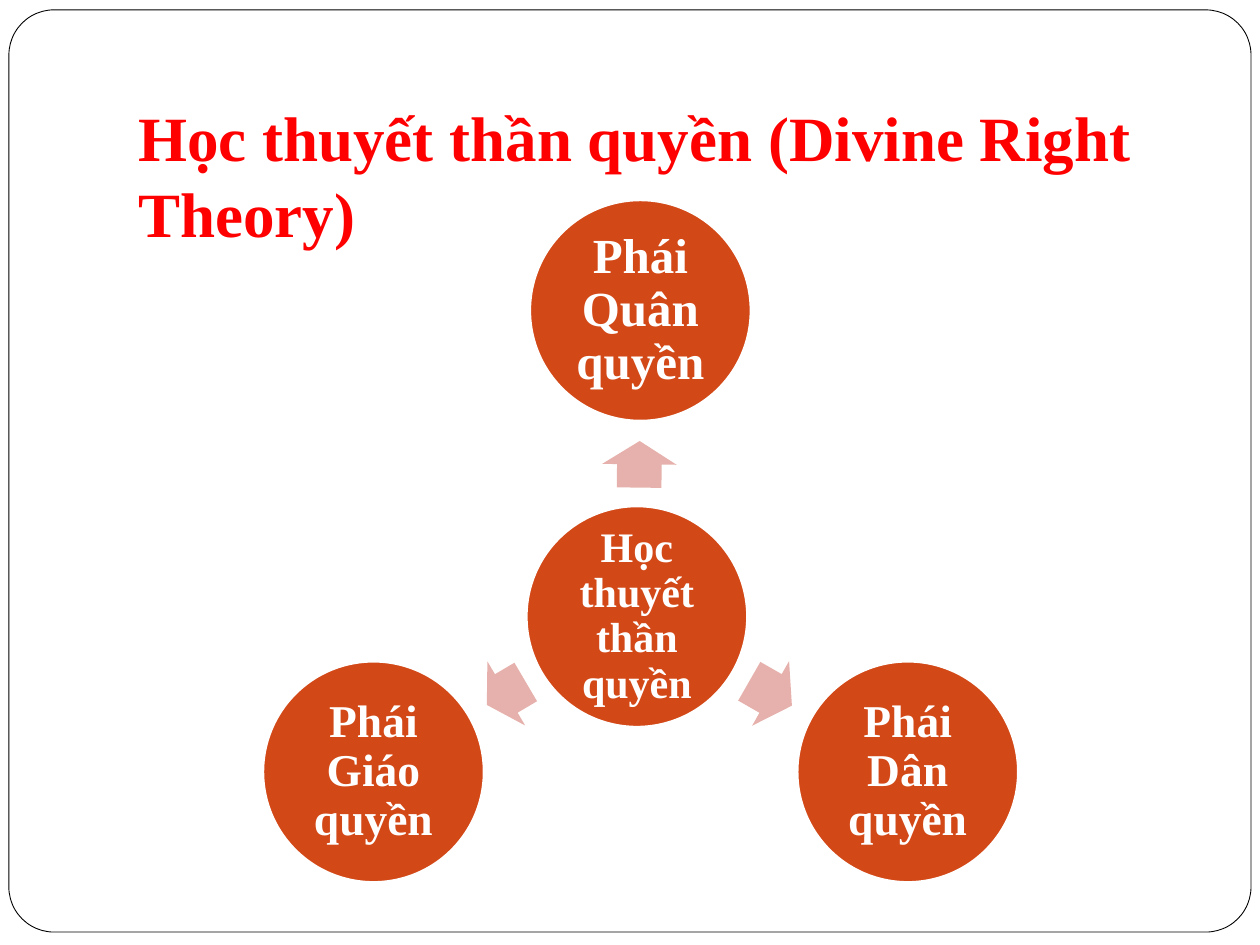
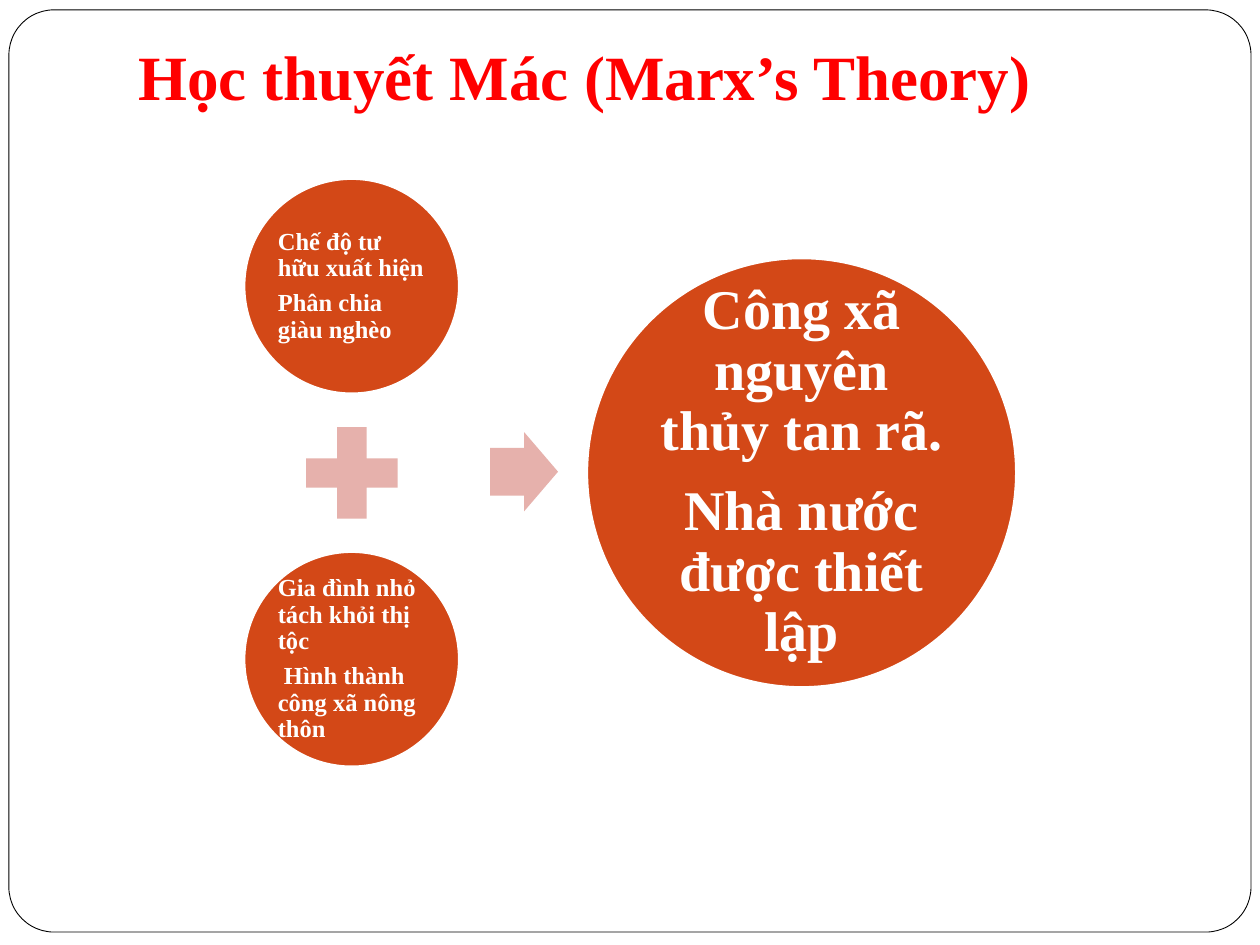
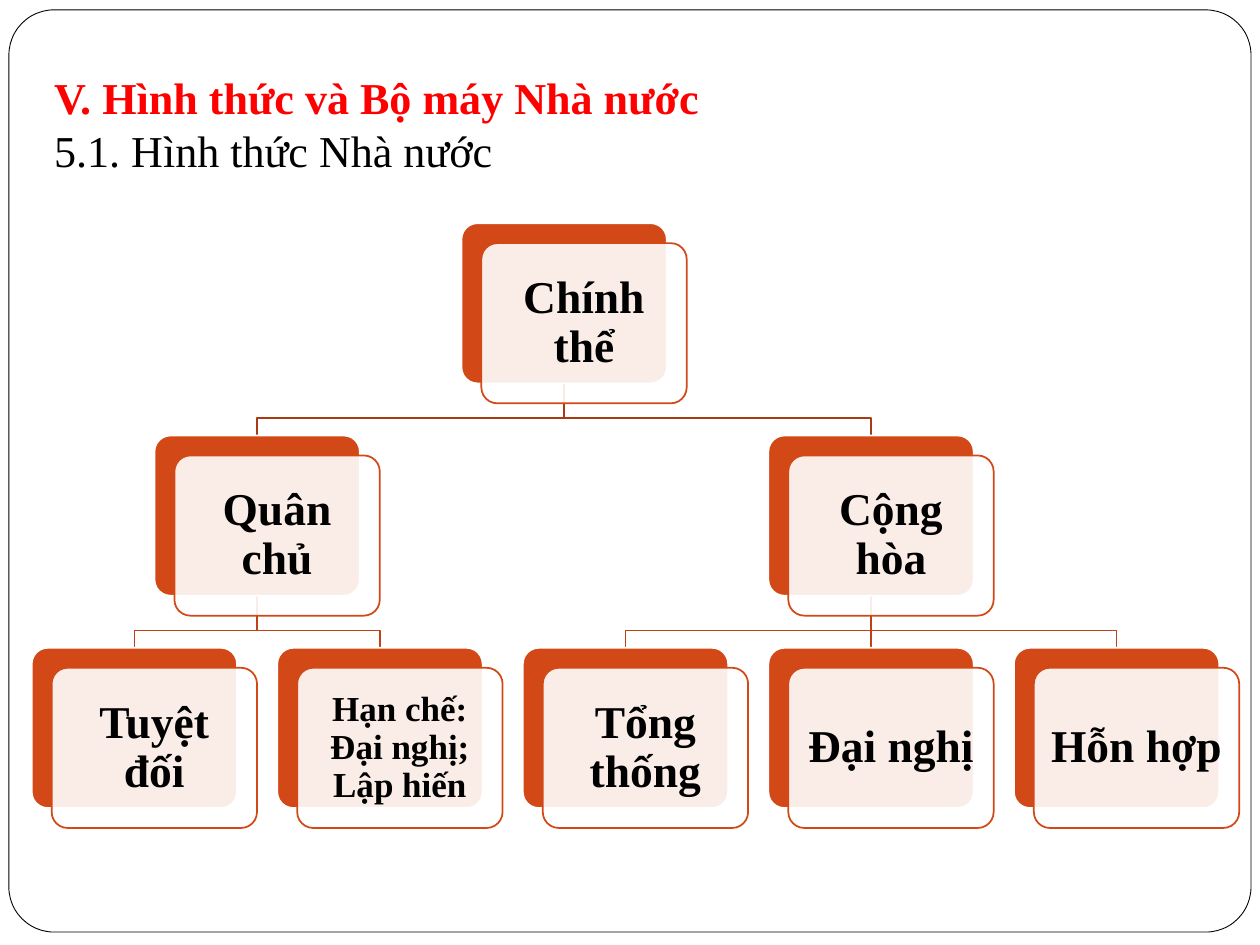
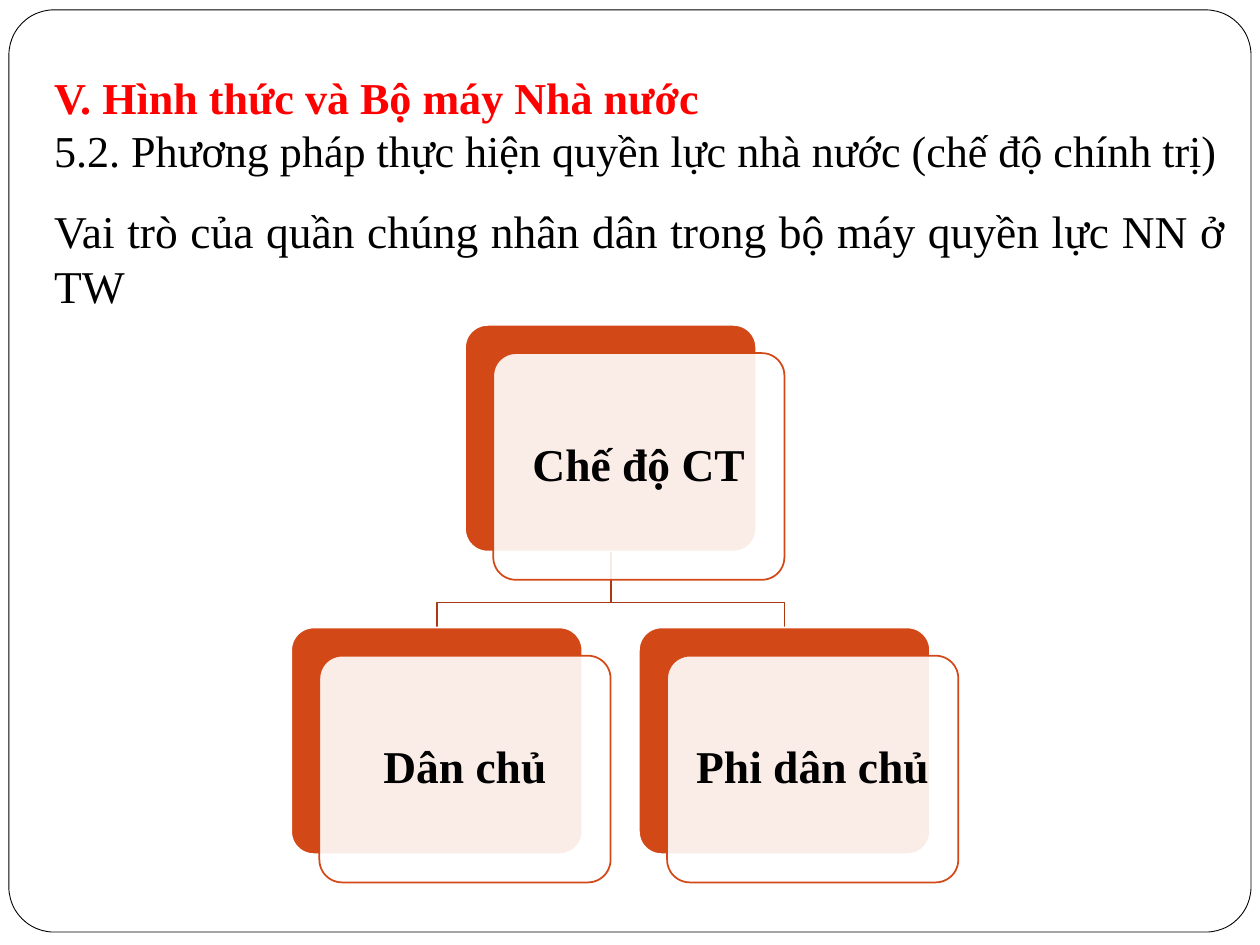
from dataclasses import dataclass

from lxml.etree import SubElement
from pptx import Presentation
from pptx.dml.color import RGBColor
from pptx.enum.shapes import MSO_CONNECTOR as Connector, MSO_SHAPE as Preset
from pptx.enum.text import MSO_ANCHOR as Anchor, MSO_AUTO_SIZE as AutoSize, PP_ALIGN as Align
from pptx.oxml.ns import qn
from pptx.util import Cm, Pt

FONT = "Times New Roman"
COLORS = {
    "title": "FF0000",
    "text": "000000",
    "paper": "FFFFFF",
    "accent": "D34817",
    "arrow": "E6B1AC",
    "root_link": "A93A12",
    "branch_link": "BF4115",
}
TITLE_ONLY = 5
CHAPTER = "V. Hình thức và Bộ máy Nhà nước"


@dataclass
class TreeGrid:
    left: float
    top: float
    width: float
    height: float
    column_step: float
    row_step: float


@dataclass
class Card:
    text: str
    size: float
    left: float
    top: float


def color(name):
    return RGBColor.from_string(COLORS[name])


def apply_format(target, values):
    for name, value in values.items():
        setattr(target, name, value)


def box(left, top, width, height):
    return [Cm(length) for length in (left, top, width, height)]


def format_frame(frame, anchor, margins):
    left, top, right, bottom = (Cm(margin) for margin in margins)
    apply_format(frame, {
        "word_wrap": True, "auto_size": AutoSize.NONE, "vertical_anchor": anchor,
        "margin_left": left, "margin_top": top,
        "margin_right": right, "margin_bottom": bottom,
    })


def add_run(paragraph, text, size, color_name, bold=True):
    run = paragraph.add_run()
    run.text = text
    apply_format(run.font, {"name": FONT, "size": Pt(size), "bold": bold})
    run.font.color.rgb = color(color_name)


def style_line(line, color_name, width=1):
    line.color.rgb = color(color_name)
    line.width = Pt(width)


def add_preset(slide, preset, place, fill, line=None, adjustments=(), line_width=1):
    shape = slide.shapes.add_shape(preset, *box(*place))
    shape.shadow.inherit = False
    shape.fill.solid()
    shape.fill.fore_color.rgb = color(fill)
    if line:
        style_line(shape.line, line, line_width)
    else:
        shape.line.fill.background()
    for index, value in enumerate(adjustments):
        shape.adjustments[index] = value
    return shape


def write_label(shape, paragraphs, size, color_name, margin, align=Align.CENTER):
    frame = shape.text_frame
    format_frame(frame, Anchor.MIDDLE, [margin] * 4)
    for index, text in enumerate(paragraphs):
        paragraph = frame.add_paragraph() if index else frame.paragraphs[0]
        apply_format(paragraph, {
            "alignment": align, "line_spacing": 0.9, "space_after": Pt(round(size * 0.35)),
        })
        add_run(paragraph, text, size, color_name)


def add_circle(slide, left, top, diameter, paragraphs, size, margin=0.1, align=Align.CENTER):
    circle = add_preset(slide, Preset.OVAL, (left, top, diameter, diameter), "accent", "paper")
    write_label(circle, paragraphs, size, "paper", margin, align)


def add_arrow(slide, place, rotation=0):
    arrow = add_preset(slide, Preset.RIGHT_ARROW, place, "arrow", adjustments=(0.6, 0.5))
    arrow.rotation = rotation


def add_page_frame(layout, slide):
    frame = add_preset(slide, Preset.ROUNDED_RECTANGLE, (0.18, 0.2, 25.04, 18.59),
                       "paper", "text", (0.049,), 0.5)
    frame.element.nvSpPr.cNvPr.set("id", "20")
    layout.shapes.element.insert(2, frame.element)


def set_title(slide, place, lines, size, anchor=Anchor.BOTTOM, top_margin=0.13):
    title = slide.shapes.title
    title.left, title.top, title.width, title.height = box(*place)
    format_frame(title.text_frame, anchor, (0.25, top_margin, 0.25, 0.25))
    paragraph = title.text_frame.paragraphs[0]
    paragraph.alignment = Align.LEFT
    for index, text in enumerate(lines):
        if index:
            paragraph.add_line_break()
        add_run(paragraph, text, size, "text" if index else "title", bold=not index)


def set_chapter_title(slide, section):
    set_title(slide, (0.84, 1.27, 24.13, 2.54), (CHAPTER, section), 25.2)


def add_statement(slide, place, text, size):
    text_box = slide.shapes.add_textbox(*box(*place))
    format_frame(text_box.text_frame, Anchor.BOTTOM, (0.25, 0.13, 0.25, 0.25))
    paragraph = text_box.text_frame.paragraphs[0]
    paragraph.alignment = Align.JUSTIFY
    add_run(paragraph, text, size, "text", bold=False)


def add_link(slide, grid, parent, child, color_name):
    start_x, end_x = (card.left + grid.width / 2 for card in (parent, child))
    start_y, end_y = parent.top + grid.height, child.top
    if abs(start_x - end_x) < 0.01:
        link = slide.shapes.add_connector(
            Connector.STRAIGHT, Cm(start_x), Cm(start_y), Cm(end_x), Cm(end_y))
        SubElement(link.element.spPr, qn("a:effectLst"))
    else:
        bend_y = start_y + (end_y - start_y) * 0.67
        builder = slide.shapes.build_freeform(Cm(start_x), Cm(start_y))
        corners = ((start_x, bend_y), (end_x, bend_y), (end_x, end_y))
        builder.add_line_segments([(Cm(x), Cm(y)) for x, y in corners], close=False)
        link = builder.convert_to_shape()
        link.shadow.inherit = False
        link.fill.background()
    style_line(link.line, color_name)


def add_card(slide, grid, card):
    shift = grid.width * 0.097
    size = (grid.width, grid.height)
    add_preset(slide, Preset.ROUNDED_RECTANGLE, (card.left, card.top, *size),
               "accent", "paper", (0.1,))
    front = add_preset(slide, Preset.ROUNDED_RECTANGLE,
                       (card.left + shift, card.top + shift, *size),
                       "paper", "accent", (0.1,))
    fill_color = front.element.spPr.find(f"{qn('a:solidFill')}/{qn('a:srgbClr')}")
    SubElement(fill_color, qn("a:alpha")).set("val", "90000")
    write_label(front, [card.text], card.size, "text", 0.25)


def add_tree(slide, grid, root):
    cards, links = [], []
    leaf_count = 0

    def place(node, depth):
        nonlocal leaf_count
        text, children, size = node
        placed = [place(child, depth + 1) for child in children]
        if placed:
            left = sum(child.left for child in placed) / len(placed)
        else:
            left = grid.left + leaf_count * grid.column_step
            leaf_count += 1
        card = Card(text, size, left, grid.top + depth * grid.row_step)
        cards.append(card)
        link_color = "branch_link" if depth else "root_link"
        links.extend((card, child, link_color) for child in placed)
        return card

    place(root, 0)
    for parent, child, link_color in links:
        add_link(slide, grid, parent, child, link_color)
    for card in cards:
        add_card(slide, grid, card)


def node(text, *children, size=26):
    return text, children, size


def build_divine_right(slide):
    set_title(slide, (2.54, 2.11, 21.59, 3.18),
              ["Học thuyết thần quyền (Divine Right Theory)"], 36)
    for left, top, text, size in (
        (10.62, 10.21, "Học thuyết thần quyền", 24),
        (10.69, 4.04, "Phái Quân quyền", 28),
        (16.08, 13.34, "Phái Dân quyền", 26),
        (5.31, 13.34, "Phái Giáo quyền", 26),
    ):
        add_circle(slide, left, top, 4.44, [text], size)
    for left, top, width, rotation in (
        (12.42, 8.61, 0.94, 270.7),
        (15.04, 13.23, 0.99, 29.8),
        (9.75, 13.23, 0.91, 149.5),
    ):
        add_arrow(slide, (left, top, width, 1.5), rotation)


def build_marx(slide):
    set_title(slide, (2.54, 0.76, 21.59, 3.18),
              ["Học thuyết Mác (Marx’s Theory)"], 36, Anchor.TOP, 0)
    causes = (
        (3.61, ["Chế độ tư hữu xuất hiện", "Phân chia giàu nghèo"]),
        (11.13, ["Gia đình nhỏ tách khỏi thị tộc", " Hình thành công xã nông thôn"]),
    )
    for top, paragraphs in causes:
        add_circle(slide, 4.93, top, 4.32, paragraphs, 14, 0.04, Align.LEFT)
    add_preset(slide, Preset.MATH_PLUS, (5.84, 8.28, 2.51, 2.51), "arrow")
    add_arrow(slide, (9.88, 8.71, 1.37, 1.6))
    add_circle(slide, 11.84, 5.21, 8.64,
               ["Công xã nguyên thủy tan rã.", "Nhà nước được thiết lập"], 32)


def build_state_forms(slide):
    set_chapter_title(slide, "5.1. Hình thức Nhà nước")
    monarchy = node("Quân chủ", node("Tuyệt đối"),
                    node("Hạn chế: Đại nghị; Lập hiến", size=20))
    republic = node("Cộng hòa", node("Tổng thống"), node("Đại nghị"), node("Hỗn hợp"))
    add_tree(slide, TreeGrid(0.64, 4.5, 4.14, 3.23, 4.95, 4.28),
             node("Chính thể", monarchy, republic))


def build_political_regime(slide):
    set_chapter_title(slide, "5.2. Phương pháp thực hiện quyền lực nhà nước (chế độ chính trị)")
    add_statement(slide, (0.84, 3.81, 24.13, 2.74),
                  "Vai trò của quần chúng nhân dân trong bộ máy quyền lực NN ở TW", 26)
    add_tree(slide, TreeGrid(5.87, 6.55, 5.87, 4.57, 7.01, 6.1),
             node("Chế độ CT", node("Dân chủ"), node("Phi dân chủ")))


def main():
    presentation = Presentation()
    presentation.slide_width, presentation.slide_height = Cm(25.4), Cm(19.05)
    layout = presentation.slide_layouts[TITLE_ONLY]
    builders = (build_divine_right, build_marx, build_state_forms, build_political_regime)
    slides = [presentation.slides.add_slide(layout) for _ in builders]
    add_page_frame(layout, slides[0])
    for build, slide in zip(builders, slides):
        build(slide)
    presentation.save("out.pptx")


if __name__ == "__main__":
    main()
